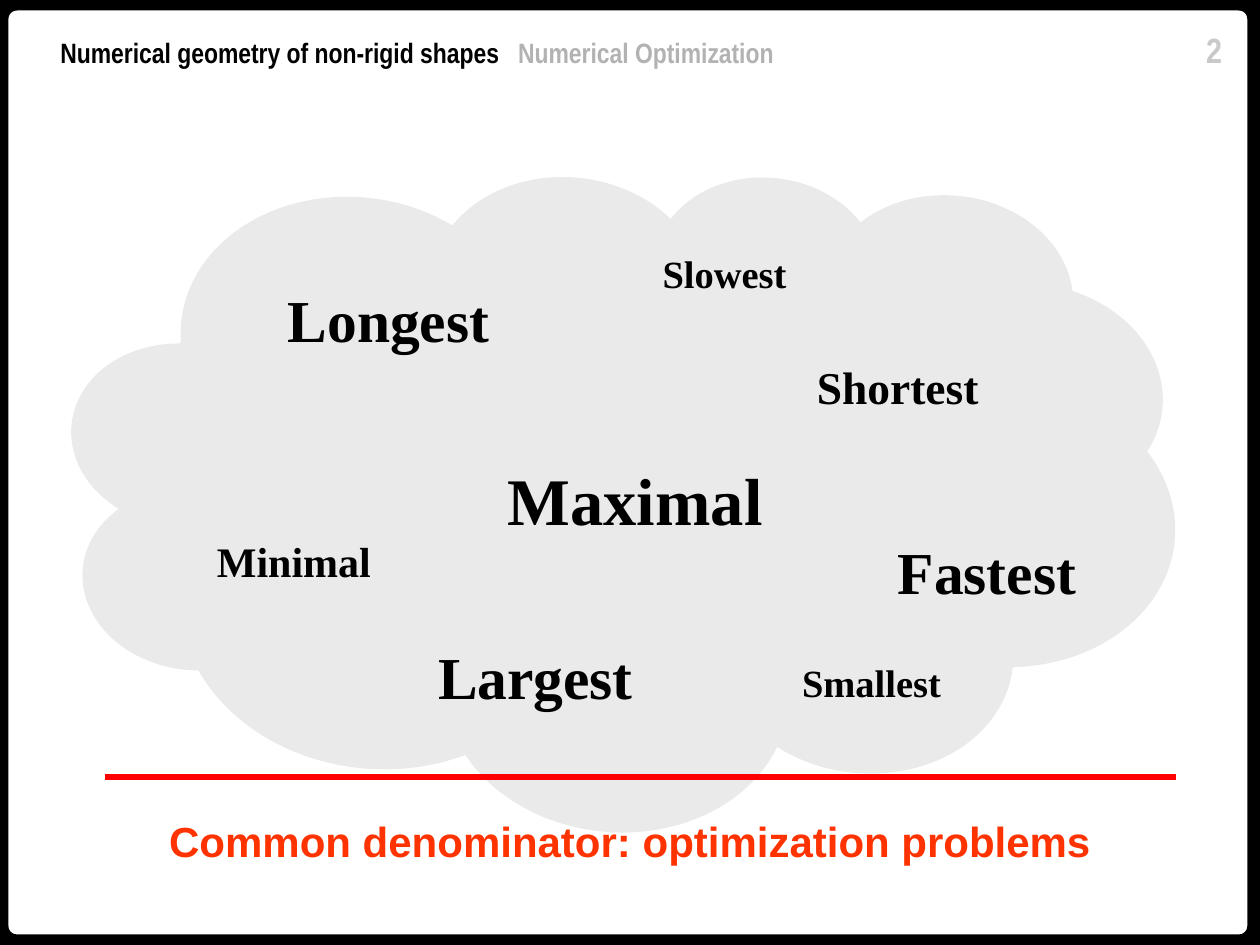
"""Build a slide with a cloud of superlatives above a one-line conclusion."""
from dataclasses import dataclass

from lxml import etree
from pptx import Presentation
from pptx.dml.color import RGBColor
from pptx.enum.shapes import MSO_CONNECTOR, MSO_SHAPE
from pptx.enum.text import MSO_ANCHOR, MSO_AUTO_SIZE, PP_ALIGN
from pptx.oxml.ns import qn
from pptx.util import Pt

BLACK = RGBColor(0x00, 0x00, 0x00)
CLOUD_GRAY = RGBColor(0xEA, 0xEA, 0xEA)
TOPIC_GRAY = RGBColor(0xB2, 0xB2, 0xB2)
NUMBER_GRAY = RGBColor(0xC9, 0xC9, 0xC9)
RED = RGBColor(0xFF, 0x00, 0x00)
ORANGE_RED = RGBColor(0xFF, 0x33, 0x00)
LEFT, CENTER, RIGHT = PP_ALIGN.LEFT, PP_ALIGN.CENTER, PP_ALIGN.RIGHT
TOP = MSO_ANCHOR.TOP
FIXED_SIZE = MSO_AUTO_SIZE.NONE
ROUNDED, CLOUD = MSO_SHAPE.ROUNDED_RECTANGLE, MSO_SHAPE.CLOUD_CALLOUT
STRAIGHT = MSO_CONNECTOR.STRAIGHT


@dataclass(frozen=True)
class Label:
    text: str
    left: float
    top: float
    width: float
    height: float
    size: float
    font: str = "Times New Roman"
    color: RGBColor = BLACK
    align: PP_ALIGN = CENTER
    spacing: float = 1.5


HEADER = [
    Label("2", 654.5, 13, 51, 32, 20, "Arial Narrow", NUMBER_GRAY, RIGHT, 1),
    Label("Numerical geometry of non-rigid shapes", 27.4, 16.5, 275, 27, 16,
          "Arial Narrow", BLACK, LEFT, 1),
    Label("Numerical Optimization", 289, 16.5, 175, 27, 16,
          "Arial Narrow", TOPIC_GRAY, LEFT, 1),
]
WORDS = [
    Label("Longest", 132, 138, 180, 68, 34),
    Label("Shortest", 414, 186, 198, 54, 26),
    Label("Largest", 234, 342, 144, 68, 34),
    Label("Smallest", 402, 360, 192, 47, 22),
    Label("Minimal", 96, 288, 144, 50, 24),
    Label("Maximal", 270, 236, 186, 76, 38),
    Label("Fastest", 492, 282, 144, 68, 34),
    Label("Slowest", 318, 126, 192, 47, 22),
]
CONCLUSION = Label("Common denominator: optimization problems",
                   60, 448, 600, 50, 24, "Arial", ORANGE_RED)


def apply(target, values: dict) -> None:
    for name, value in values.items():
        setattr(target, name, value)


def fill_label(box, label: Label) -> None:
    apply(box, {"left": Pt(label.left), "top": Pt(label.top),
                "width": Pt(label.width), "height": Pt(label.height)})
    frame = box.text_frame
    apply(frame, {"word_wrap": True, "auto_size": FIXED_SIZE, "vertical_anchor": TOP})
    para = frame.paragraphs[0]
    apply(para, {"alignment": label.align, "line_spacing": label.spacing})
    span = para.add_run()
    span.text = label.text
    apply(span.font, {"name": label.font, "size": Pt(label.size), "bold": True})
    span.font.color.rgb = label.color


def add_label(page, label: Label) -> None:
    fill_label(page.shapes.add_textbox(0, 0, 0, 0), label)


def add_frame(page) -> None:
    frame = page.shapes.add_shape(ROUNDED, Pt(-1.2), Pt(0), Pt(720), Pt(540))
    frame.shadow.inherit = False
    frame.adjustments[0] = 0.02
    frame.fill.background()
    frame.line.color.rgb = BLACK
    frame.line.width = Pt(12)


def add_cloud(page) -> None:
    cloud = page.shapes.add_shape(CLOUD, Pt(39), Pt(93), Pt(633), Pt(381))
    cloud.shadow.inherit = False
    cloud.rotation = 5.5
    cloud.adjustments[0] = -0.13
    cloud.adjustments[1] = 0
    cloud.fill.solid()
    cloud.fill.fore_color.rgb = CLOUD_GRAY
    cloud.line.fill.background()


def add_rule(page) -> None:
    rule = page.shapes.add_connector(STRAIGHT, Pt(60), Pt(444), Pt(672), Pt(444))
    rule.line.color.rgb = RED
    rule.line.width = Pt(3)
    etree.SubElement(rule.element.spPr, qn("a:effectLst"))


def main() -> None:
    deck = Presentation()
    apply(deck, {"slide_width": Pt(720), "slide_height": Pt(540)})
    page = deck.slides.add_slide(deck.slide_layouts[5])
    add_frame(page)
    for label in HEADER:
        add_label(page, label)
    add_cloud(page)
    for label in WORDS:
        add_label(page, label)
    add_rule(page)
    title = page.shapes.title
    fill_label(title, CONCLUSION)
    title.element.getparent().append(title.element)
    deck.save("out.pptx")


if __name__ == "__main__":
    main()
